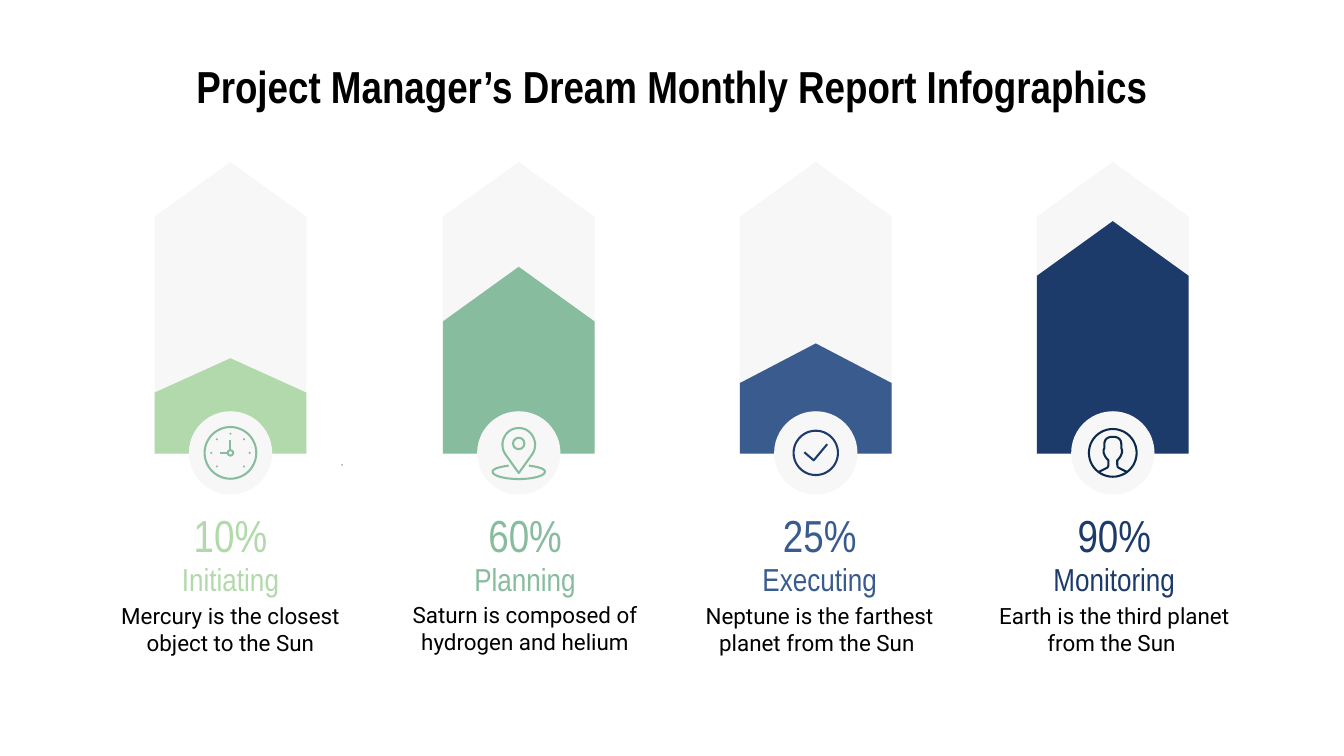
from dataclasses import dataclass
from math import cos, pi, sin
from typing import Callable

from pptx import Presentation
from pptx.dml.color import RGBColor
from pptx.enum.shapes import MSO_SHAPE as Preset
from pptx.enum.text import MSO_ANCHOR as Anchor, MSO_AUTO_SIZE as AutoSize, PP_ALIGN as Align
from pptx.util import Inches, Pt

WIDTH = Inches(10)
HEIGHT = WIDTH * 9 // 16
CELL = WIDTH / 100
BAR_WIDTH, BAR_HEIGHT, BAR_BOTTOM = 11.3, 21.7, 33.75
BADGE_ROW, BADGE_SIZE = 33.7, 6.2
TEXT_START, TEXT_STEP = 17.15, 21.92
PALE, BLACK, SAGE, NAVY, INK = "F7F7F7", "000000", "87BC9E", "1C3B6A", "0B294C"
HEADING, BODY = "Arial Narrow", "Roboto"

Point = tuple[float, float]

PIN = [(0, 1.5), (-1, 0.1), (-1.35, -0.4, -1.25, -1.1, -0.85, -1.5),
       (-0.6, -1.75, -0.3, -1.85, 0, -1.85)]
PIN_BASE = [(-0.75, 0.95), (-1.5, 1.05, -1.95, 1.2, -1.95, 1.4),
            (-1.95, 1.7, -1.1, 1.95, 0, 1.95)]
PERSON = [(-1.05, 1.42), (-0.45, 1.12), (-0.33, 1.05, -0.33, 0.95, -0.33, 0.8),
          (-0.33, 0.55), (-0.45, 0.45, -0.6, 0.25, -0.64, 0.1), (-0.68, 0),
          (-0.68, -0.25), (-0.63, -0.35), (-0.63, -0.65),
          (-0.63, -1, -0.4, -1.2, 0, -1.2)]
TICK = [(-0.85, -0.05), (-0.15, 0.55), (0.85, -0.65)]


@dataclass
class Phase:
    column: float
    level: float
    percent: str
    name: str
    detail: str
    color: str
    draw_icon: Callable[[float], None]
    detail_row: float = 43.9


def cells(*counts: float) -> list[int]:
    return [round(count * CELL) for count in counts]


def rgb(code: str) -> RGBColor:
    return RGBColor.from_string(code)


def paint(shape, fill: str | None = None, stroke: str | None = None, weight: float = 1.1) -> None:
    shape.shadow.inherit = False
    if fill:
        shape.fill.solid()
        shape.fill.fore_color.rgb = rgb(fill)
    else:
        shape.fill.background()
    if stroke:
        shape.line.color.rgb = rgb(stroke)
        shape.line.width = Pt(weight)
    else:
        shape.line.fill.background()


def write(frame, text: str, *, size: float, color: str, font: str = HEADING,
          bold: bool = False, anchor: Anchor = Anchor.MIDDLE) -> None:
    frame.word_wrap = True
    frame.auto_size = AutoSize.NONE
    frame.vertical_anchor = anchor
    frame.margin_left = frame.margin_right = Inches(0.1)
    frame.margin_top = frame.margin_bottom = Inches(0.1)
    paragraph = frame.paragraphs[0]
    paragraph.alignment = Align.CENTER
    run = paragraph.add_run()
    run.text = text
    run.font.name, run.font.size, run.font.bold = font, Pt(size), bold
    run.font.color.rgb = rgb(color)


def label(center: float, top: float, width: float, height: float, text: str, **style) -> None:
    box = shapes.add_textbox(*cells(center - width / 2, top, width, height))
    write(box.text_frame, text, **style)


def bar(center: float, height: float, color: str) -> None:
    middle = BAR_BOTTOM - height / 2
    plate = shapes.add_shape(Preset.PENTAGON, *cells(
        center - height / 2, middle - BAR_WIDTH / 2, height, BAR_WIDTH))
    plate.rotation = 270
    plate.adjustments[0] = 0.36
    paint(plate, fill=color)


def disc(x: float, y: float, size: float, **look) -> None:
    circle = shapes.add_shape(Preset.OVAL, *cells(x - size / 2, y - size / 2, size, size))
    paint(circle, **look)


def trace(segments: list[tuple]) -> list[Point]:
    points = [segments[0]]
    for segment in segments[1:]:
        if len(segment) == 2:
            points.append(segment)
            continue
        controls = [points[-1], segment[0:2], segment[2:4], segment[4:6]]
        for t in (step / 10 for step in range(1, 11)):
            weights = ((1 - t) ** 3, 3 * t * (1 - t) ** 2, 3 * t * t * (1 - t), t ** 3)
            points.append(tuple(sum(w * c[axis] for w, c in zip(weights, controls))
                                for axis in (0, 1)))
    return points


def mirrored(segments: list[tuple]) -> list[Point]:
    half = trace(segments)
    return half + [(-x, y) for x, y in reversed(half[:-1])]


def stroke_path(center: float, points: list[Point], color: str) -> None:
    placed = [cells(center + x, BADGE_ROW + y) for x, y in points]
    builder = shapes.build_freeform(*placed[0], scale=1.0)
    builder.add_line_segments(placed[1:], close=False)
    paint(builder.convert_to_shape(), stroke=color)


def clock_icon(center: float) -> None:
    disc(center, BADGE_ROW, 3.85, stroke=SAGE)
    disc(center, BADGE_ROW, 0.4, stroke=SAGE)
    for hand in ([(0, -0.2), (0, -0.95)], [(-0.2, 0), (-0.8, 0)]):
        stroke_path(center, hand, SAGE)
    for eighth in range(1, 8):
        angle = pi / 2 + eighth * pi / 4
        disc(center + 1.43 * cos(angle), BADGE_ROW + 1.43 * sin(angle), 0.15, fill=SAGE)
    disc(25.45, 34.6, 0.12, fill=SAGE)


def pin_icon(center: float) -> None:
    disc(center, BADGE_ROW - 0.7, 0.85, stroke=SAGE)
    for outline in (PIN, PIN_BASE):
        stroke_path(center, mirrored(outline), SAGE)


def tick_icon(center: float) -> None:
    disc(center, BADGE_ROW, 3.3, stroke=NAVY)
    stroke_path(center, TICK, NAVY)


def person_icon(center: float) -> None:
    disc(center, BADGE_ROW, 3.55, stroke=INK)
    stroke_path(center, mirrored(PERSON), INK)


PHASES = [
    Phase(17.15, 7.1, "10%", "Initiating", "Mercury is the closest object to the Sun",
          "B2D9AB", clock_icon),
    Phase(38.6, 13.9, "60%", "Planning", "Saturn is composed of hydrogen and helium",
          SAGE, pin_icon, detail_row=43.8),
    Phase(60.7, 8.2, "25%", "Executing", "Neptune is the farthest planet from the Sun ",
          "395B8E", tick_icon),
    Phase(82.8, 17.3, "90%", "Monitoring", "Earth is the third planet from the Sun ",
          NAVY, person_icon),
]

deck = Presentation()
deck.slide_width, deck.slide_height = WIDTH, HEIGHT
slide = deck.slides.add_slide(deck.slide_layouts[5])
shapes = slide.shapes

title = shapes.title
title.left, title.top, title.width, title.height = cells(1.95, 3.4, 96.1, 6.3)
write(title.text_frame, "Project Manager’s Dream Monthly Report Infographics",
      size=24, color=BLACK, bold=True, anchor=Anchor.TOP)

for order, phase in enumerate(PHASES):
    bar(phase.column, BAR_HEIGHT, PALE)
    bar(phase.column, phase.level, phase.color)
    disc(phase.column, BADGE_ROW, BADGE_SIZE, fill=PALE)
    phase.draw_icon(phase.column)
    text_column = TEXT_START + order * TEXT_STEP
    label(text_column, 37.4, 9.4, 4.7, phase.percent, size=24, color=phase.color)
    label(text_column, 40.7, 20.5, 4.7, phase.name, size=17, color=phase.color)
    label(text_column, phase.detail_row, 20.5, 5.8, phase.detail,
          size=12, color=BLACK, font=BODY)

deck.save("out.pptx")
